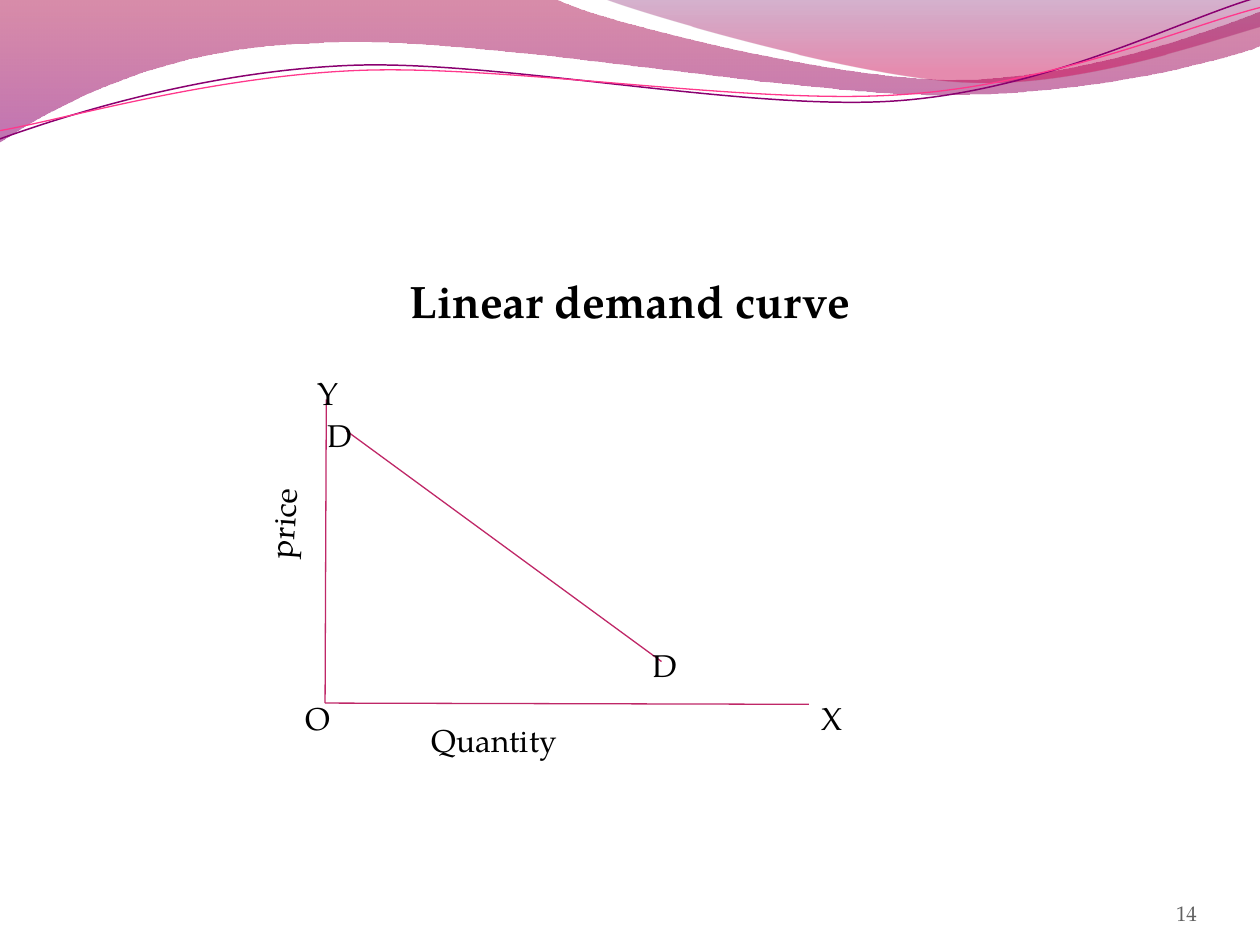
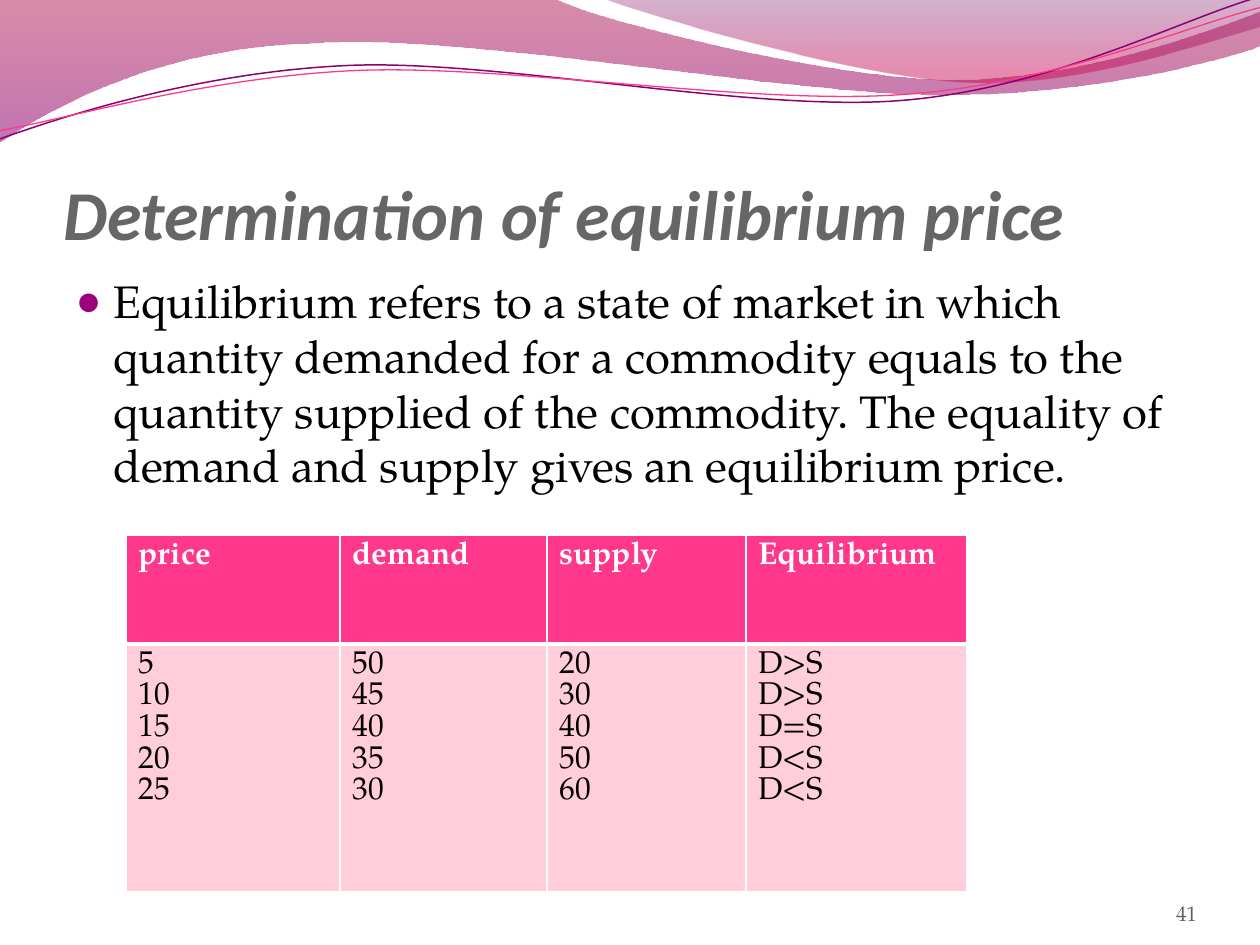
import pptx
import pptx.dml.color
import pptx.enum.shapes
import pptx.enum.text
import pptx.oxml
import pptx.oxml.ns
import pptx.util
from dataclasses import dataclass
from lxml import etree

Inches, Pt = pptx.util.Inches, pptx.util.Pt
RGB = pptx.dml.color.RGBColor.from_string
qn = pptx.oxml.ns.qn
ALIGN = pptx.enum.text.PP_ALIGN
ANCHOR = pptx.enum.text.MSO_ANCHOR


@dataclass(frozen=True)
class Theme:
    body_font: str = "TeX Gyre Pagella"
    title_font: str = "Calibri"
    title_size: int = 40
    body_size: int = 26
    label_size: int = 18
    number_size: int = 12
    text: str = "000000"
    title: str = "666666"
    number: str = "616161"
    bullet: str = "9C007F"
    curve: str = "BF2767"
    pink: str = "FF388C"
    pale_pink: str = "FFCEDA"
    purple: str = "8A0070"
    white: str = "FFFFFF"


theme = Theme()


def write(paragraph, text, size, color=theme.text, bold=False, italic=False,
          font=theme.body_font, align=ALIGN.LEFT):
    paragraph.alignment = align
    run = paragraph.add_run()
    run.text = text
    run.font.name = font
    run.font.size = Pt(size)
    run.font.bold, run.font.italic = bold, italic
    run.font.color.rgb = RGB(color)


def add_curved_freeform(shapes, start, segments, close):
    """Draw straight segments (2 numbers) and cubic ones (6 numbers, two control points first)."""
    points = [(Inches(x), Inches(y)) for segment in segments
              for x, y in zip(segment[::2], segment[1::2])]
    builder = shapes.build_freeform(Inches(start[0]), Inches(start[1]))
    builder.add_line_segments(points, close=close)
    freeform = builder.convert_to_shape()
    steps = iter(list(freeform.element.iter(qn("a:lnTo"))))
    for segment in segments:
        step = next(steps)
        if len(segment) == 6:
            step.tag = qn("a:cubicBezTo")
            for _ in range(2):
                extra = next(steps)
                step.append(extra[0])
                extra.getparent().remove(extra)
    return freeform


prs = pptx.Presentation()
prs.slide_width, prs.slide_height = Inches(10), Inches(7.5)
content_layout = prs.slide_layouts[1]
curve_slide = prs.slides.add_slide(content_layout)
price_slide = prs.slides.add_slide(content_layout)

# Waves at the top of every slide, kept on the master.
# Gradient stops are position, colour, opacity in percent.
waves = [
    dict(start=(0, 0), stops=[(0, "A90042", 45), (1, "8E0073", 55)], segments=[
        (4.4, -0.01), (4.76, 0.17, 6.64, 0.63, 7.58, 0.63),
        (8.53, 0.63, 9.58, 0.26, 10, 0.09), (10.01, 0.36),
        (9.83, 0.44, 8.7, 0.76, 7.46, 0.75), (6.22, 0.75, 3.82, 0.28, 2.57, 0.34),
        (1.29, 0.36, 0.46, 0.83, -0.01, 1.13), (0, 0)]),
    dict(start=(4.79, -0.01), stops=[(0, "73005E", 30), (0.8, "C9004F", 45)], segments=[
        (5.09, 0.11, 6.82, 0.62, 7.69, 0.65), (8.56, 0.69, 9.61, 0.32, 10, 0.21),
        (10, 0), (4.79, -0.01)]),
    dict(start=(-0.02, 1.11), line=(theme.purple, 0.85), segments=[
        (0.48, 0.93, 1.58, 0.57, 2.77, 0.52), (3.95, 0.47, 5.93, 0.89, 7.13, 0.8),
        (8.33, 0.71, 9.38, 0.15, 9.98, -0.02)]),
    dict(start=(-0.02, 1.04), line=(theme.pink, 0.75), segments=[
        (0.47, 0.96, 1.64, 0.61, 2.83, 0.56), (4.03, 0.51, 5.97, 0.84, 7.17, 0.75),
        (8.36, 0.67, 9.41, 0.21, 10, 0.06)]),
]
master_tree = prs.slide_master.shapes.element
for order, wave in enumerate(waves):
    band = add_curved_freeform(curve_slide.shapes, wave["start"], wave["segments"],
                               close="stops" in wave)
    band.shadow.inherit = False
    if "stops" in wave:
        band.line.fill.background()
        band.fill.gradient()
        band.fill.gradient_angle = 270
        for stop, (position, color, _) in zip(band.fill.gradient_stops, wave["stops"]):
            stop.position = position
            stop.color.rgb = RGB(color)
        for gs, (_, _, opacity) in zip(band.element.iter(qn("a:gs")), wave["stops"]):
            etree.SubElement(gs[0], qn("a:alpha"), val=str(opacity * 1000))
    else:
        color, width = wave["line"]
        band.fill.background()
        band.line.color.rgb = RGB(color)
        band.line.width = Pt(width)
    band.element.nvSpPr.cNvPr.id = 20 + order
    master_tree.insert(2 + order, band.element)

# Body text and slide numbers
definition = ("Equilibrium refers to a state of market in which quantity demanded for a "
              "commodity equals to the quantity supplied of the commodity. The equality of "
              "demand and supply gives an equilibrium price.")
for slide, statement, is_heading, number in (
        (curve_slide, "Linear demand curve", True, "14"),
        (price_slide, definition, False, "41")):
    body = slide.placeholders[1]
    body.left, body.top, body.width, body.height = map(Inches, (0.5, 2.12, 9, 4.8))
    body.text_frame.auto_size = pptx.enum.text.MSO_AUTO_SIZE.NONE
    paragraph = body.text_frame.paragraphs[0]
    properties = paragraph._p.get_or_add_pPr()
    properties.set("marL", str(Inches(0.3)))
    properties.set("indent", str(-Inches(0.3)))
    if is_heading:
        etree.SubElement(properties, qn("a:buNone"))
    else:
        bullet_color = etree.SubElement(properties, qn("a:buClr"))
        etree.SubElement(bullet_color, qn("a:srgbClr"), val=theme.bullet)
        etree.SubElement(properties, qn("a:buSzPct"), val="95000")
        etree.SubElement(properties, qn("a:buChar"), char="●")
    paragraph.space_before = Pt(0)
    write(paragraph, statement, theme.body_size, bold=is_heading,
          align=ALIGN.CENTER if is_heading else ALIGN.LEFT)

    footer = slide.shapes.add_textbox(*map(Inches, (8.67, 6.95, 0.83, 0.4))).text_frame
    footer.word_wrap = True
    footer.vertical_anchor = ANCHOR.BOTTOM
    footer.margin_left = footer.margin_top = footer.margin_right = footer.margin_bottom = 0
    write(footer.paragraphs[0], number, theme.number_size, theme.number, align=ALIGN.RIGHT)

# Demand curve: axes, curve and labels
untitled = curve_slide.shapes.title.element
untitled.getparent().remove(untitled)
origin = (2.58, 5.58)
for start, end in (((2.59, 3.17), origin), (origin, (6.42, 5.59)), ((2.75, 3.42), (5.25, 5.25))):
    stroke = curve_slide.shapes.add_connector(
        pptx.enum.shapes.MSO_CONNECTOR.STRAIGHT, *map(Inches, start + end))
    stroke.line.color.rgb = RGB(theme.curve)
    stroke.line.width = Pt(0.75)
    etree.SubElement(stroke.element.spPr, qn("a:effectLst"))

for text, left, top, width, rotation in (
        ("D", 5.08, 5.08, 0.7, 0), ("D", 2.5, 3.25, 0.56, 0), ("Y", 2.42, 2.92, 0.29, 0),
        ("O", 2.33, 5.5, 0.57, 0), ("X", 6.42, 5.5, 0.37, 0),
        ("Quantity", 3.33, 5.67, 1.2, 0), ("price", 1.7, 3.77, 1.12, 274.2)):
    label = curve_slide.shapes.add_textbox(*map(Inches, (left, top, width, 0.4)))
    label.rotation = rotation
    label.text_frame.word_wrap = True
    write(label.text_frame.paragraphs[0], text, theme.label_size)

# Equilibrium price: title and table
title = price_slide.shapes.title
title.left, title.top, title.width, title.height = map(Inches, (0.5, 0.77, 9, 1.25))
heading = title.text_frame
heading.auto_size = pptx.enum.text.MSO_AUTO_SIZE.NONE
heading.vertical_anchor = ANCHOR.BOTTOM
heading.margin_left = heading.margin_right = heading.margin_bottom = 0
heading.margin_top = Inches(0.05)
write(heading.paragraphs[0], "Determination of equilibrium price", theme.title_size,
      theme.title, bold=True, italic=True, font=theme.title_font)

schedule = {
    "price": (1.7, ["5", "10", "15", "20", "25"]),
    "demand": (1.64, ["50", "45", "40", "35", "30"]),
    "supply": (1.58, ["20", "30", "40", "50", "60"]),
    "Equilibrium": (1.75, ["D>S", "D>S", "D=S", "D<S", "D<S"]),
}
table = price_slide.shapes.add_table(
    2, len(schedule), *map(Inches, (1, 4.25, 6.67, 2.83))).table
table.horz_banding = False
table.rows[0].height, table.rows[1].height = Inches(0.86), Inches(1.97)
for column, (header, (width, values)) in enumerate(schedule.items()):
    table.columns[column].width = Inches(width)
    for row, (lines, fill, color, thick_side) in enumerate((
            ([header], theme.pink, theme.white, "lnB"),
            (values, theme.pale_pink, theme.text, "lnT"))):
        cell = table.cell(row, column)
        borders = cell._tc.get_or_add_tcPr()
        for side in ("lnL", "lnR", "lnT", "lnB"):
            border = etree.SubElement(borders, qn(f"a:{side}"),
                                      w=str(Pt(3 if side == thick_side else 1)))
            border_fill = etree.SubElement(border, qn("a:solidFill"))
            etree.SubElement(border_fill, qn("a:srgbClr"), val=theme.white)
        cell.fill.solid()
        cell.fill.fore_color.rgb = RGB(fill)
        frame = cell.text_frame
        for index, line in enumerate(lines):
            paragraph = frame.add_paragraph() if index else frame.paragraphs[0]
            write(paragraph, line, theme.label_size, color, bold=row == 0)

prs.save("out.pptx")
